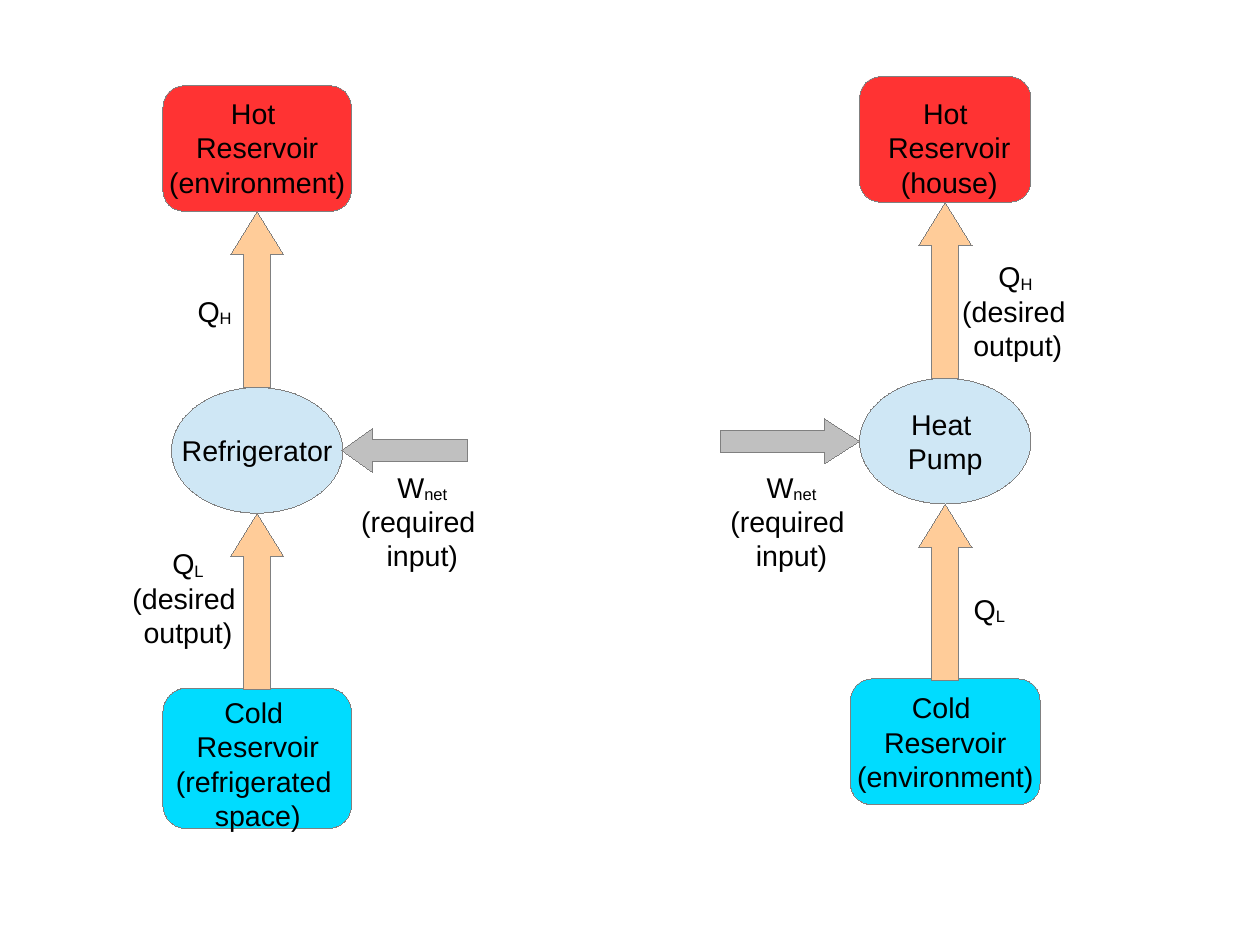
from dataclasses import dataclass

from pptx import Presentation
from pptx import util as u
from pptx.dml import color
from pptx.enum import shapes, text

KIND = shapes.MSO_SHAPE
ALIGN = text.PP_ALIGN


@dataclass(frozen=True)
class Theme:
    """Colours and type used on the slide."""
    hot: str = "FF3333"
    cold: str = "00DCFF"
    engine: str = "CFE7F5"
    heat: str = "FFCC99"
    work: str = "C0C0C0"
    outline: str = "808080"
    ink: str = "000000"
    font: str = "Arial"
    size: int = 18
    hairline: float = 0.01
    subscript: str = "-8000"


@dataclass(frozen=True)
class Label:
    """Text lines in a box, where an underscore starts a subscript."""
    left: float
    top: float
    width: float
    height: float
    lines: tuple[str, ...]
    align: ALIGN = ALIGN.CENTER


@dataclass(frozen=True)
class Device:
    """An engine between two reservoirs with a work arrow at one side."""
    left: float
    top: float
    name: tuple[str, ...]
    hot_width: float
    cold_width: float
    cold_height: float
    work_kind: KIND
    work_left: float
    work_width: float
    work_head: float


THEME = Theme()
CM_PER_INCH = 2.54
SLIDE_W, SLIDE_H = 28 / CM_PER_INCH, 21 / CM_PER_INCH
ENGINE_W, ENGINE_H = 1.5, 1.1
HEAT_W, HEAT_H = 0.47, 1.54
WORK_H = 0.39
HOT_H = 1.1

DEVICES = (
    Device(1.5, 3.39, ("Refrigerator",), 1.65, 1.65, 1.23,
           KIND.LEFT_ARROW, 2.99, 1.1, 0.7),
    Device(7.52, 3.31, ("Heat ", "Pump"), 1.5, 1.66, 1.1,
           KIND.RIGHT_ARROW, 6.3, 1.22, 0.78),
)

WORK_LINES = ("W_net", "(required ", "input)")
OUTPUT_LINES = ("(desired ", "output)")
LABELS = (
    Label(1.38, 0.79, 1.74, 0.94, ("Hot ", "Reservoir", "(environment)")),
    Label(7.67, 0.79, 1.27, 0.94, ("Hot ", "Reservoir", "(house)")),
    Label(1.44, 6.03, 1.63, 1.22,
          ("Cold ", "Reservoir", "(refrigerated ", "space)")),
    Label(7.4, 5.99, 1.74, 0.94, ("Cold ", "Reservoir", "(environment)")),
    Label(1.63, 2.52, 0.5, 0.47, ("Q_H",), ALIGN.LEFT),
    Label(1.06, 4.73, 1.17, 1.02, ("Q_L", *OUTPUT_LINES)),
    Label(8.32, 2.22, 1.17, 1.02, ("Q_H ", *OUTPUT_LINES)),
    Label(8.42, 5.13, 0.49, 0.46, ("Q_L",), ALIGN.LEFT),
    Label(6.29, 4.06, 1.27, 1.02, WORK_LINES),
    Label(3.06, 4.06, 1.27, 1.02, WORK_LINES),
)


def apply_format(target, values: dict) -> None:
    """Set every attribute in values on target."""
    for name, value in values.items():
        setattr(target, name, value)


def write_lines(tf, lines: tuple[str, ...], align: ALIGN) -> None:
    """Write one paragraph per line, with subscripts."""
    apply_format(tf, {
        "word_wrap": False,
        "margin_left": u.Inches(0.1), "margin_right": u.Inches(0.1),
        "margin_top": u.Inches(0.05), "margin_bottom": u.Inches(0.05),
    })
    for i, line in enumerate(lines):
        p = tf.add_paragraph() if i else tf.paragraphs[0]
        p.alignment = align
        base, _, sub = line.partition("_")
        for part in filter(None, (base, sub)):
            r = p.add_run()
            r.text = part
            apply_format(r.font, {"name": THEME.font, "size": u.Pt(THEME.size)})
            r.font.color.rgb = color.RGBColor.from_string(THEME.ink)
        if sub:
            r._r.get_or_add_rPr().set("baseline", THEME.subscript)


def add_block(s, kind: KIND, left: float, top: float, width: float,
              height: float, fill: str, adjust: tuple[float, ...] = ()):
    """Draw a filled preset shape with a hairline outline."""
    sp = s.shapes.add_shape(kind, *map(u.Inches, (left, top, width, height)))
    for i, value in enumerate(adjust):
        sp.adjustments[i] = value
    sp.shadow.inherit = False
    sp.fill.solid()
    sp.fill.fore_color.rgb = color.RGBColor.from_string(fill)
    sp.line.color.rgb = color.RGBColor.from_string(THEME.outline)
    sp.line.width = u.Pt(THEME.hairline)
    return sp


def add_device(s, d: Device) -> None:
    """Draw reservoirs, engine, heat arrows and work arrow."""
    center = d.left + ENGINE_W / 2
    bottom = d.top + ENGINE_H
    hot_top = d.top - HEAT_H - HOT_H
    for top, width, height, fill in (
            (hot_top, d.hot_width, HOT_H, THEME.hot),
            (bottom + HEAT_H - 0.01, d.cold_width, d.cold_height, THEME.cold)):
        add_block(s, KIND.ROUNDED_RECTANGLE, center - width / 2, top,
                  width, height, fill, (0.17,))
    sp = add_block(s, KIND.OVAL, d.left, d.top, ENGINE_W, ENGINE_H, THEME.engine)
    sp.text_frame.vertical_anchor = text.MSO_ANCHOR.MIDDLE
    write_lines(sp.text_frame, d.name, ALIGN.CENTER)
    for top in (d.top - HEAT_H, bottom):
        add_block(s, KIND.UP_ARROW, center - HEAT_W / 2, top,
                  HEAT_W, HEAT_H, THEME.heat, (0.5, 0.81))
    add_block(s, d.work_kind, d.work_left, d.top + (ENGINE_H - WORK_H) / 2,
              d.work_width, WORK_H, THEME.work, (0.5, d.work_head))


def add_label(s, label: Label) -> None:
    """Add a text box that fits its text."""
    frame = (label.left, label.top, label.width, label.height)
    tf = s.shapes.add_textbox(*map(u.Inches, frame)).text_frame
    write_lines(tf, label.lines, label.align)
    tf.auto_size = text.MSO_AUTO_SIZE.SHAPE_TO_FIT_TEXT


def main() -> None:
    """Build and save the slide."""
    prs = Presentation()
    apply_format(prs, {"slide_width": u.Inches(SLIDE_W),
                       "slide_height": u.Inches(SLIDE_H)})
    s = prs.slides.add_slide(prs.slide_layouts[6])
    for device in DEVICES:
        add_device(s, device)
    for label in LABELS:
        add_label(s, label)
    prs.save("out.pptx")


if __name__ == "__main__":
    main()
